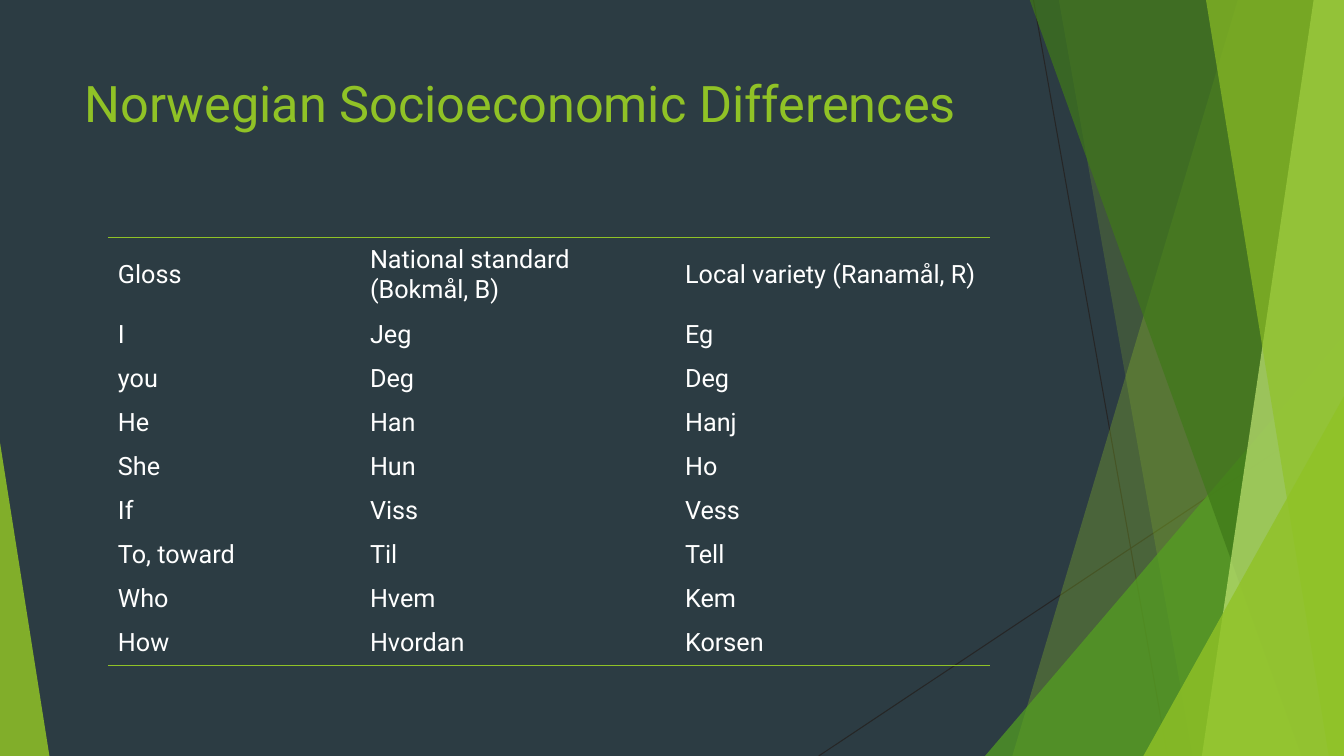
"""Build the slide on Norwegian socioeconomic differences."""
from lxml.etree import SubElement
from pptx import Presentation
from pptx.dml.color import RGBColor
from pptx.enum.shapes import MSO_CONNECTOR as Connector, MSO_SHAPE as Preset
from pptx.enum.text import MSO_ANCHOR as Anchor
from pptx.oxml.ns import qn
from pptx.util import Inches, Pt

FONT = "Roboto"
BACKGROUND, GREEN, WHITE, DARK = "2C3C43", "90C226", "FFFFFF", "262626"
WIDTH, HEIGHT, TOP = 13.33, 7.5, -0.01

TITLE = "Norwegian Socioeconomic Differences"
ROWS = [
    ("Gloss", "National standard (Bokmål, B)", "Local variety (Ranamål, R)"),
    ("I", "Jeg", "Eg"),
    ("you", "Deg", "Deg"),
    ("He", "Han", "Hanj"),
    ("She", "Hun", "Ho"),
    ("If", "Viss", "Vess"),
    ("To, toward", "Til", "Tell"),
    ("Who", "Hvem", "Kem"),
    ("How", "Hvordan", "Korsen"),
]
COLUMN_WIDTHS = [2.5, 3.125, 3.125]
ROW_HEIGHTS = [0.74] + [0.4375] * (len(ROWS) - 1)
PLAIN_TABLE_STYLE = "{2D5ABB26-0587-4C30-8999-92F81FD0307C}"

HAIRLINES = [(10.25, 0, 11.58, HEIGHT), (WIDTH, 4.03, 8.12, HEIGHT)]
# kind, left edge at top or apex, left edge at bottom or width, colour, opacity
SHARDS = [
    ("band", (12.28, 10.04), GREEN, 30),
    ("band", (10.5, 11.83), GREEN, 20),
    ("triangle", (9.77, 3.56, 4.17, 1), "54A021", 72),
    ("band", (10.21, 12.91), "3F7819", 70),
    ("band", (13.03, 11.92), "C0E474", 70),
    ("band", (11.96, 13.18), GREEN, 65),
    ("triangle", (11.34, 1.99, 3.57, 1), GREEN, 80),
    ("triangle", (0, 0.49, 3.11, 0), GREEN, 85),
]


def color(code):
    return RGBColor.from_string(code)


def write(frame, text, size, code):
    span = frame.paragraphs[0].add_run()
    span.text = text
    span.font.name, span.font.size = FONT, Pt(size)
    span.font.color.rgb = color(code)


def add_hairline(page, ends):
    line = page.shapes.add_connector(Connector.STRAIGHT, *map(Inches, ends))
    line.line.color.rgb, line.line.width = color(DARK), Pt(0.75)
    SubElement(line._element.spPr, qn("a:effectLst"))


def add_band(page, top_left, bottom_left):
    outline = page.shapes.build_freeform(Inches(top_left), Inches(TOP))
    corners = [(WIDTH, TOP), (WIDTH, HEIGHT), (bottom_left, HEIGHT)]
    outline.add_line_segments([(Inches(x), Inches(y)) for x, y in corners])
    return outline.convert_to_shape()


def add_triangle(page, left, width, height, apex):
    sizes = map(Inches, (left, HEIGHT - height, width, height))
    triangle = page.shapes.add_shape(Preset.ISOSCELES_TRIANGLE, *sizes)
    triangle.adjustments[0] = apex
    return triangle


def add_shard(page, kind, geometry, code, opacity):
    build = add_band if kind == "band" else add_triangle
    shard = build(page, *geometry)
    shard.shadow.inherit = False
    shard.line.fill.background()
    shard.fill.solid()
    shard.fill.fore_color.rgb = color(code)
    tint = shard._element.spPr.find(qn("a:solidFill"))[0]
    SubElement(tint, qn("a:alpha"), val=str(opacity * 1000))


def add_border(cell, side):
    border = SubElement(cell._tc.get_or_add_tcPr(), qn(side), w=str(Pt(1)))
    fill = SubElement(border, qn("a:solidFill"))
    SubElement(fill, qn("a:srgbClr"), val=GREEN)


def add_title(page):
    box = page.shapes.add_textbox(*map(Inches, (0.74, 0.67, 9.4, 1.44)))
    box.text_frame.word_wrap = True
    write(box.text_frame, TITLE, 36, GREEN)


def add_words(page):
    sizes = map(Inches, (1.07, 2.36, sum(COLUMN_WIDTHS), sum(ROW_HEIGHTS)))
    table = page.shapes.add_table(len(ROWS), len(COLUMN_WIDTHS), *sizes).table
    table.first_row = table.horz_banding = False
    table._tbl.tblPr.find(qn("a:tableStyleId")).text = PLAIN_TABLE_STYLE
    for column, width in zip(table.columns, COLUMN_WIDTHS):
        column.width = Inches(width)
    for r, (words, height) in enumerate(zip(ROWS, ROW_HEIGHTS)):
        table.rows[r].height = Inches(height)
        for c, word in enumerate(words):
            cell = table.cell(r, c)
            cell.vertical_anchor = Anchor.MIDDLE
            write(cell.text_frame, word, 18, WHITE)
            if r == 0:
                add_border(cell, "a:lnT")
            if r == len(ROWS) - 1:
                add_border(cell, "a:lnB")
            cell.fill.background()


def main():
    deck = Presentation()
    deck.slide_width, deck.slide_height = Inches(WIDTH), Inches(HEIGHT)
    page = deck.slides.add_slide(deck.slide_layouts[6])
    page.background.fill.solid()
    page.background.fill.fore_color.rgb = color(BACKGROUND)
    for ends in HAIRLINES:
        add_hairline(page, ends)
    for shard in SHARDS:
        add_shard(page, *shard)
    add_title(page)
    add_words(page)
    deck.save("out.pptx")


if __name__ == "__main__":
    main()
